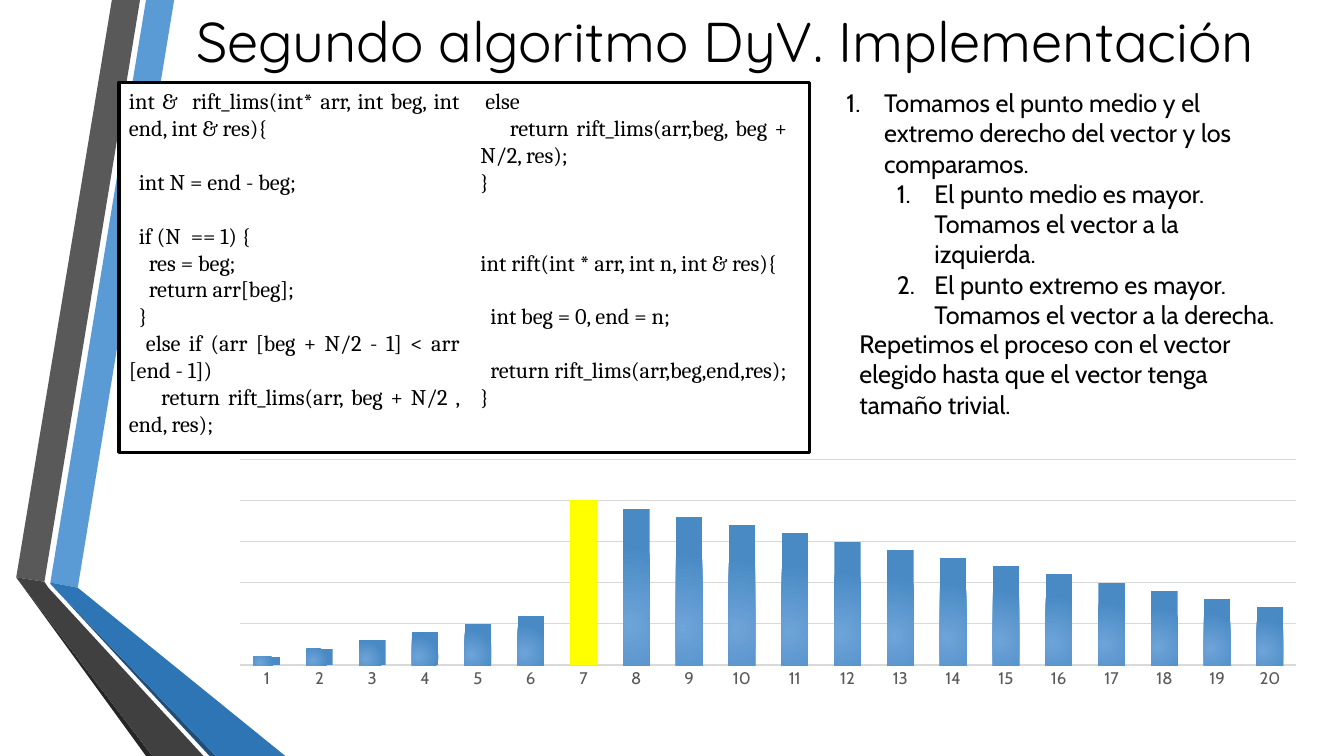
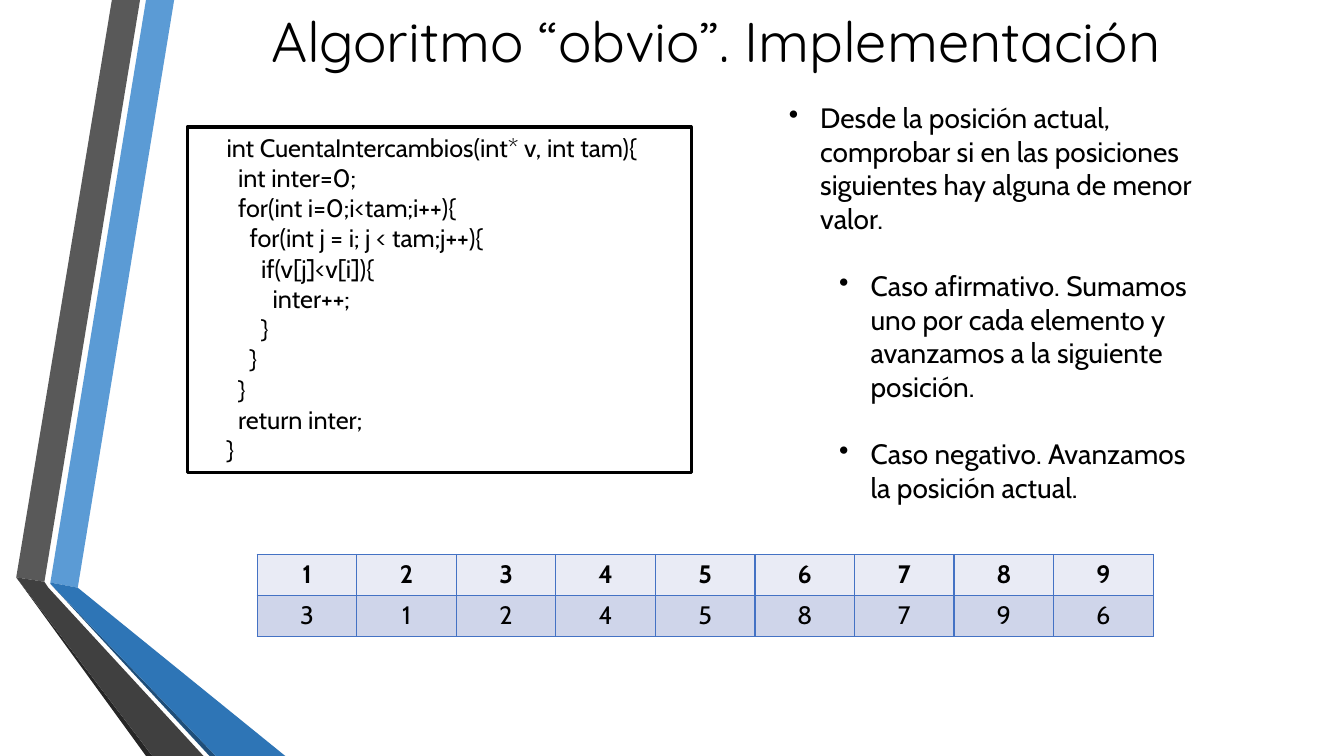
from lxml import etree
from pptx import Presentation
from pptx import util as u
from pptx.chart import data as chart_data
from pptx.dml import color
from pptx.enum import chart as chart_enum, shapes, text
from pptx.oxml import ns

COLORS = {
    name: color.RGBColor.from_string(value)
    for name, value in {
        "black": "000000", "white": "FFFFFF", "sky": "5B9BD5", "gray": "595959",
        "charcoal": "262626", "navy": "1F4E79", "blue": "2E75B6", "dark": "404040",
        "grid": "D9D9D9", "bar_light": "6EA4D8", "bar": "498AC5", "peak": "FFFF00",
        "border": "4472C4", "header": "E9EBF5", "row": "CFD5EA",
    }.items()
}
TITLE_FONT, BODY_FONT, CODE_FONT = "Quicksand", "Cabin", "Cambria"


def add_text(slide, box, lines, font, size, align=text.PP_ALIGN.LEFT):
    frame = slide.shapes.add_textbox(*map(u.Cm, box)).text_frame
    frame.word_wrap = True
    for number, (line, indent, gap) in enumerate(lines):
        paragraph = frame.add_paragraph() if number else frame.paragraphs[0]
        paragraph.text = line
        paragraph.alignment = align
        paragraph.space_before = u.Pt(gap)
        paragraph.font.name = font
        paragraph.font.size = u.Pt(size)
        paragraph.font.color.rgb = COLORS["black"]
        paragraph._p.get_or_add_pPr().set("indent", str(u.Cm(indent)))
    return frame.paragraphs


def set_bullet(paragraph, level, margin, tag, **attributes):
    paragraph.level = level
    properties = paragraph._p.get_or_add_pPr()
    properties.set("marL", str(u.Cm(margin)))
    etree.SubElement(properties, ns.qn(tag), attributes)


presentation = Presentation()
presentation.slide_width = u.Cm(33.87)
presentation.slide_height = u.Cm(19.05)
layout = presentation.slide_layouts[5]

slides = []
for title, left, width, frame_box in [
    ("Segundo algoritmo DyV. Implementación", 4.01, 28.52, (3, 2.08, 17.4, 9.32)),
    ("Algoritmo “obvio”. Implementación", 5.11, 25.86, (4.72, 3.2, 12.7, 8.71)),
]:
    slide = presentation.slides.add_slide(layout)
    slides.append(slide)
    shape = slide.shapes.title
    shape.left, shape.top = u.Cm(left), u.Cm(-0.08)
    shape.width, shape.height = u.Cm(width), u.Cm(2.16)
    shape.text_frame.text = title
    shape.text_frame.auto_size = text.MSO_AUTO_SIZE.NONE
    shape.text_frame.vertical_anchor = text.MSO_ANCHOR.MIDDLE
    paragraph = shape.text_frame.paragraphs[0]
    paragraph.alignment = text.PP_ALIGN.CENTER
    font = paragraph.runs[0].font
    font.name, font.size = TITLE_FONT, u.Pt(40)
    font.color.rgb = COLORS["black"]

    code_frame = slide.shapes.add_shape(
        shapes.MSO_SHAPE.RECTANGLE, *map(u.Cm, frame_box))
    code_frame.shadow.inherit = False
    code_frame.fill.solid()
    code_frame.fill.fore_color.rgb = COLORS["white"]
    code_frame.line.color.rgb = COLORS["black"]
    code_frame.line.width = u.Pt(2.25)

search_slide, swap_slide = slides

bands = [
    ("sky", [(1.27, 14.68), (1.96, 14.81), (4.39, 0), (3.68, 0)]),
    ("gray", [(3.53, 0), (2.82, 0), (0.41, 14.55), (1.12, 14.66)]),
    ("charcoal", [(0.41, 14.55), (3.68, 19.05), (3.84, 19.05)]),
    ("navy", [(1.27, 14.71), (5.28, 19.05), (5.44, 19.05)]),
    ("blue", [(1.27, 14.71), (5.44, 19.05), (7.19, 19.05), (1.96, 14.81), (1.27, 14.68)]),
    ("dark", [(5.13, 19.05), (1.22, 14.81), (1.12, 14.66), (0.41, 14.55), (3.84, 19.05)]),
]
for position, (name, points) in enumerate(bands):
    points = [(u.Cm(x), u.Cm(y)) for x, y in points]
    builder = search_slide.shapes.build_freeform(*points[0])
    builder.add_line_segments(points[1:], close=True)
    band = builder.convert_to_shape()
    band.shadow.inherit = False
    band.fill.solid()
    band.fill.fore_color.rgb = COLORS[name]
    band.line.fill.background()
    layout.shapes.element.insert(2 + position, band._element)

chart_values = chart_data.CategoryChartData()
chart_values.categories = [str(number) for number in range(1, 21)]
chart_values.add_series("Series 1", [*range(5, 31, 5), *range(100, 34, -5)])
chart = search_slide.shapes.add_chart(
    chart_enum.XL_CHART_TYPE.COLUMN_CLUSTERED,
    *map(u.Cm, (5.11, 10.72, 27.84, 8.69)), chart_values).chart
chart.has_legend = False
chart.has_title = False
chart.font.name, chart.font.size = BODY_FONT, u.Pt(10)
chart.font.color.rgb = COLORS["black"]

category_axis = chart.category_axis
category_axis.major_tick_mark = chart_enum.XL_TICK_MARK.NONE
category_axis.format.line.color.rgb = COLORS["grid"]
category_axis.format.line.width = u.Pt(1)
labels = category_axis.tick_labels.font
labels.name, labels.size = BODY_FONT, u.Pt(12)
labels.color.rgb = COLORS["gray"]

value_axis = chart.value_axis
value_axis.visible = False
value_axis.minimum_scale, value_axis.maximum_scale = 0, 125
value_axis.major_unit = 25
value_axis.has_major_gridlines = True
value_axis.major_gridlines.format.line.color.rgb = COLORS["grid"]
value_axis.major_gridlines.format.line.width = u.Pt(0.75)

plot = chart.plots[0]
plot.vary_by_categories = False
plot.gap_width, plot.overlap = 100, -24
series = plot.series[0]
series.format.fill.gradient()
for stop, name in zip(series.format.fill.gradient_stops, ("bar_light", "bar")):
    stop.color.rgb = COLORS[name]
gradient = series._element.find(".//" + ns.qn("a:gradFill"))
gradient.remove(gradient.find(ns.qn("a:lin")))
circle = etree.SubElement(gradient, ns.qn("a:path"), {"path": "circle"})
etree.SubElement(circle, ns.qn("a:fillToRect"),
                 {"l": "50000", "t": "100000", "r": "100000", "b": "50000"})
peak = series.points[6].format.fill
peak.solid()
peak.fore_color.rgb = COLORS["peak"]

plot_area = chart._chartSpace.find(".//" + ns.qn("c:plotArea"))
for old in plot_area.findall(ns.qn("c:layout")):
    plot_area.remove(old)
plot_layout = etree.Element(ns.qn("c:layout"))
plot_area.insert(0, plot_layout)
manual = etree.SubElement(plot_layout, ns.qn("c:manualLayout"))
for tag, value in [
    ("layoutTarget", "inner"), ("xMode", "edge"), ("yMode", "edge"),
    ("x", "0.034"), ("y", "0.098"), ("w", "0.956"), ("h", "0.597"),
]:
    etree.SubElement(manual, ns.qn("c:" + tag), {"val": value})

code_line = 19.2
add_text(search_slide, (3, 2.08, 8.84, 9.14), [
    ("int &  rift_lims(int* arr, int beg, int end, int & res){", 0, 0),
    ("int N = end - beg;", 0.25, code_line),
    ("if (N  == 1) {", 0.25, code_line),
    ("res = beg;", 0.5, 0),
    ("return arr[beg];", 0.5, 0),
    ("}", 0.25, 0),
    ("else if (arr [beg + N/2 - 1] < arr [end - 1])", 0.43, 0),
    ("return rift_lims(arr, beg + N/2 , end, res);", 0.81, 0),
], CODE_FONT, 16, text.PP_ALIGN.JUSTIFY)
add_text(search_slide, (11.86, 2.08, 8.23, 9.14), [
    ("else", 0.12, 0),
    ("return rift_lims(arr,beg, beg + N/2, res);", 0.74, 0),
    ("}", 0, 0),
    ("int rift(int * arr, int n, int & res){", 0, 2 * code_line),
    ("int beg = 0, end = n;", 0.25, code_line),
    ("return rift_lims(arr,beg,end,res);", 0.25, code_line),
    ("}", 0, 0),
], CODE_FONT, 16, text.PP_ALIGN.JUSTIFY)

steps = add_text(search_slide, (21.08, 2.08, 11.46, 5.64), [
    ("Tomamos el punto medio y el extremo derecho del vector y los comparamos.", -0.95, 0),
    ("El punto medio es mayor. Tomamos el vector a la izquierda.", -0.95, 0),
    ("El punto extremo es mayor. Tomamos el vector a la derecha.", -0.95, 0),
], BODY_FONT, 18)
for paragraph, level in zip(steps, (0, 1, 1)):
    set_bullet(paragraph, level, 0.95 + 1.27 * level, "a:buAutoNum", type="arabicPeriod")
add_text(search_slide, (21.41, 8.15, 11.15, 2.57), [
    ("Repetimos el proceso con el vector elegido hasta que el vector tenga tamaño trivial.", 0, 0),
], BODY_FONT, 18)

swap_code = [
    ("int CuentaIntercambios(int* v, int tam){", 0),
    ("int inter=0;", 1),
    ("for(int i=0;i<tam;i++){", 1),
    ("for(int j = i; j < tam;j++){", 2),
    ("if(v[j]<v[i]){", 3),
    ("inter++;", 4),
    ("}", 3),
    ("}", 2),
    ("}", 1),
    ("return inter;", 1),
    ("}", 0),
]
add_text(swap_slide, (5.46, 3.2, 11.96, 8.71),
         [(line, 0.29 * depth, 0) for line, depth in swap_code], BODY_FONT, 18)

cases = add_text(swap_slide, (19.63, 2.41, 10.87, 10.52), [
    ("Desde la posición actual, comprobar si en las posiciones siguientes hay alguna de menor valor.", -0.79, 0),
    ("Caso afirmativo. Sumamos uno por cada elemento y avanzamos a la siguiente posición.", -0.79, 24),
    ("Caso negativo. Avanzamos la posición actual.", -0.79, 24),
], BODY_FONT, 20)
for paragraph, level in zip(cases, (0, 1, 1)):
    set_bullet(paragraph, level, 0.79 + 1.27 * level, "a:buChar", char="•")

rows = [("header", range(1, 10)), ("row", (3, 1, 2, 4, 5, 8, 7, 9, 6))]
table = swap_slide.shapes.add_table(
    2, 9, *map(u.Cm, (6.48, 13.97, 22.59, 2.06))).table
for column in table.columns:
    column.width = u.Cm(2.51)
for row_number, (fill_name, values) in enumerate(rows):
    table.rows[row_number].height = u.Cm(1.03)
    for column_number, value in enumerate(values):
        cell = table.cell(row_number, column_number)
        cell.text_frame.text = str(value)
        paragraph = cell.text_frame.paragraphs[0]
        paragraph.alignment = text.PP_ALIGN.CENTER
        font = paragraph.runs[0].font
        font.name, font.size = BODY_FONT, u.Pt(18)
        font.bold = fill_name == "header"
        font.color.rgb = COLORS["black"]
        properties = cell._tc.get_or_add_tcPr()
        for side in ("L", "R", "T", "B"):
            border = etree.SubElement(properties, ns.qn("a:ln" + side), {"w": str(u.Pt(1))})
            solid = etree.SubElement(border, ns.qn("a:solidFill"))
            etree.SubElement(solid, ns.qn("a:srgbClr"), {"val": str(COLORS["border"])})
        cell.fill.solid()
        cell.fill.fore_color.rgb = COLORS[fill_name]

presentation.save("out.pptx")
